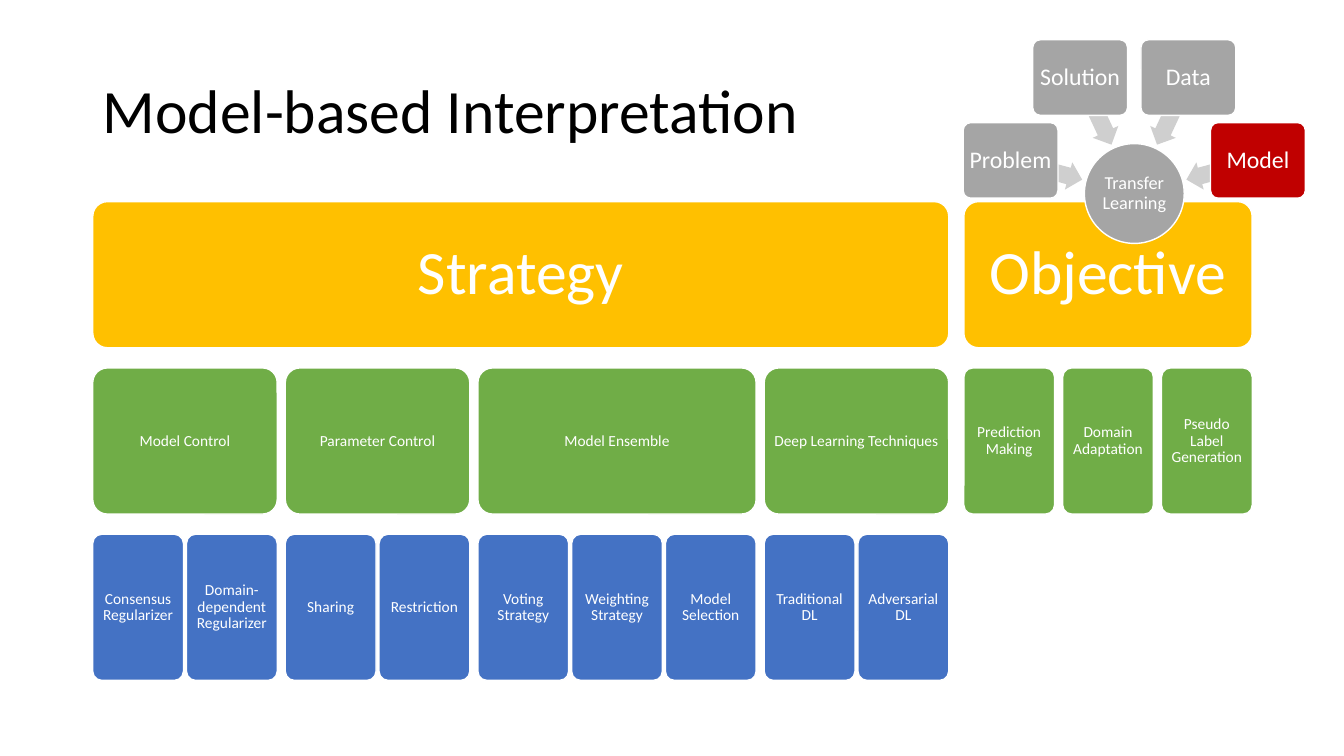
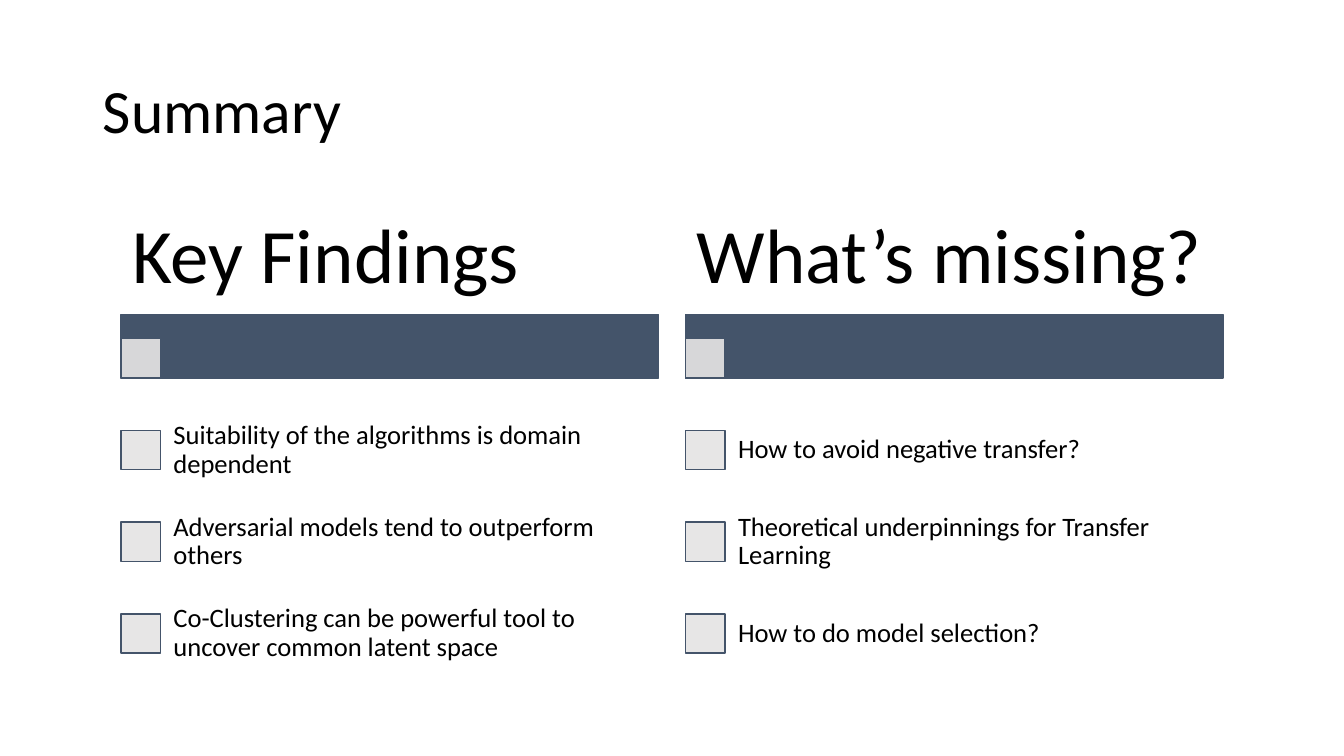
"""Build two slides: a model-based interpretation tree and a summary."""
from dataclasses import dataclass
from math import cos, radians, sin

from lxml.etree import SubElement
from pptx import Presentation
from pptx.dml.color import RGBColor
from pptx.enum.shapes import MSO_SHAPE as Preset
from pptx.enum.text import MSO_ANCHOR as Anchor, MSO_AUTO_SIZE as AutoSize, PP_ALIGN as Align
from pptx.oxml.ns import qn
from pptx.util import Inches, Pt


@dataclass(frozen=True)
class Theme:
    font: str = "Calibri"
    white: str = "FFFFFF"
    black: str = "000000"
    gold: str = "FFC000"
    green: str = "70AD47"
    blue: str = "4472C4"
    gray: str = "A5A5A5"
    arrow: str = "CFCFCF"
    red: str = "C00000"
    slate: str = "44546A"
    check: str = "E7E6E6"
    title_size: int = 44
    heading_size: int = 55
    item_size: int = 19
    satellite_size: int = 17
    hub_size: int = 13
    node_size: int = 11


theme = Theme()


def write(frame, text, size, color, align, insets=(0.1, 0.05)):
    frame.word_wrap = True
    frame.auto_size = AutoSize.NONE
    frame.vertical_anchor = Anchor.MIDDLE
    frame.margin_left = frame.margin_right = Inches(insets[0])
    frame.margin_top = frame.margin_bottom = Inches(insets[1])
    frame.text = text
    paragraph = frame.paragraphs[0]
    paragraph.alignment = align
    paragraph.line_spacing = 0.9
    font = paragraph.runs[0].font
    font.name = theme.font
    font.size = Pt(size)
    font.color.rgb = RGBColor.from_string(color)


def add_block(slide, preset, box, fill, line=None, text="", size=0, inset=0.05):
    block = slide.shapes.add_shape(preset, *map(Inches, box))
    block.shadow.inherit = False
    block.fill.solid()
    block.fill.fore_color.rgb = RGBColor.from_string(fill)
    if line:
        block.line.color.rgb = RGBColor.from_string(line)
        block.line.width = Pt(1)
    else:
        block.line.fill.background()
    if preset == Preset.ROUNDED_RECTANGLE:
        block.adjustments[0] = 0.1
    if text:
        write(block.text_frame, text, size, theme.white, Align.CENTER, (inset, inset))
    return block


deck = Presentation()
deck.slide_width, deck.slide_height = Inches(13.33), Inches(7.5)
title_only = deck.slide_layouts[5]
slides = []
for heading in ("Model-based Interpretation", "Summary"):
    slide = deck.slides.add_slide(title_only)
    title = slide.shapes.title
    title.left, title.top, title.width, title.height = map(Inches, (0.92, 0.4, 11.5, 1.45))
    write(title.text_frame, heading, theme.title_size, theme.black, Align.LEFT)
    slides.append(slide)
interpretation, summary = slides

tree = {
    "Strategy": {
        "Model Control": ["Consensus Regularizer", "Domain-dependent Regularizer"],
        "Parameter Control": ["Sharing", "Restriction"],
        "Model Ensemble": ["Voting Strategy", "Weighting Strategy", "Model Selection"],
        "Deep Learning Techniques": ["Traditional DL", "Adversarial DL"],
    },
    "Objective": {"Prediction Making": [], "Domain Adaptation": [], "Pseudo Label Generation": []},
}
leaf_width, node_height = 0.9, 1.45
leaf_gap, group_gap, branch_gap = 0.03, 0.08, 0.15
branch_top, group_top, leaf_top = 2, 3.65, 5.3

left = 0.92
for branch, groups in tree.items():
    branch_left = left
    for group, leaves in groups.items():
        columns = max(len(leaves), 1)
        group_width = columns * (leaf_width + leaf_gap) - leaf_gap
        add_block(interpretation, Preset.ROUNDED_RECTANGLE, (left, group_top, group_width, node_height),
                  theme.green, theme.white, group, theme.node_size)
        for i, leaf in enumerate(leaves):
            leaf_left = left + i * (leaf_width + leaf_gap)
            add_block(interpretation, Preset.ROUNDED_RECTANGLE, (leaf_left, leaf_top, leaf_width, node_height),
                      theme.blue, theme.white, leaf, theme.node_size)
        left += group_width + group_gap
    branch_width = left - group_gap - branch_left
    add_block(interpretation, Preset.ROUNDED_RECTANGLE, (branch_left, branch_top, branch_width, node_height),
              theme.gold, theme.white, branch, theme.title_size, 0.18)
    left += branch_gap - group_gap

hub_x, hub_y, hub_size = 11.25, 1.92, 0.99
arrow_radius, arrow_width, arrow_height = 0.9, 0.73, 0.28
satellite_radius, satellite_width, satellite_height = 1.27, 0.94, 0.75
add_block(interpretation, Preset.OVAL, (hub_x - hub_size / 2, hub_y - hub_size / 2, hub_size, hub_size),
          theme.gray, theme.white, "Transfer Learning", theme.hub_size, 0.01)
for i, satellite in enumerate(("Problem", "Solution", "Data", "Model")):
    angle = 195 + 50 * i
    across, down = cos(radians(angle)), sin(radians(angle))
    arrow = add_block(interpretation, Preset.LEFT_ARROW,
                      (hub_x + arrow_radius * across - arrow_width / 2,
                       hub_y + arrow_radius * down - arrow_height / 2, arrow_width, arrow_height), theme.arrow)
    arrow.adjustments[0], arrow.adjustments[1] = 0.6, 0.5
    arrow.rotation = angle
    add_block(interpretation, Preset.ROUNDED_RECTANGLE,
              (hub_x + satellite_radius * across - satellite_width / 2,
               hub_y + satellite_radius * down - satellite_height / 2, satellite_width, satellite_height),
              theme.red if satellite == "Model" else theme.gray, theme.white,
              satellite, theme.satellite_size, 0.04)

findings = {
    "Key Findings": [
        "Suitability of the algorithms is domain dependent",
        "Adversarial models tend to outperform others",
        "Co-Clustering can be powerful tool to uncover common latent space",
    ],
    "What’s missing?": [
        "How to avoid negative transfer?",
        "Theoretical underpinnings for Transfer Learning",
        "How to do model selection?",
    ],
}
column_width, check_size = 5.33, 0.39
item_indent, item_pitch = 0.37, 0.91
for column, (heading, items) in enumerate(findings.items()):
    left = 1.2 + 5.6 * column
    add_block(summary, Preset.RECTANGLE, (left, 3.12, column_width, 0.63), theme.slate, theme.slate)
    band_check = add_block(summary, Preset.RECTANGLE, (left, 3.36, check_size, check_size),
                           theme.check, theme.slate)
    check_color = band_check.fill._xPr.find(qn("a:solidFill")).find(qn("a:srgbClr"))
    SubElement(check_color, qn("a:alpha")).set("val", "90000")
    heading_box = summary.shapes.add_textbox(*map(Inches, (left, 2, column_width, 1.13)))
    write(heading_box.text_frame, heading, theme.heading_size, theme.black, Align.LEFT, (0.11, 0.08))
    for row, item in enumerate(items):
        top = 4.01 + item_pitch * row
        add_block(summary, Preset.RECTANGLE, (left, top + 0.26, check_size, check_size),
                  theme.check, theme.slate)
        item_box = summary.shapes.add_textbox(
            *map(Inches, (left + item_indent, top, column_width - item_indent, item_pitch)))
        write(item_box.text_frame, item, theme.item_size, theme.black, Align.LEFT, (0.15, 0.15))

deck.save("out.pptx")
